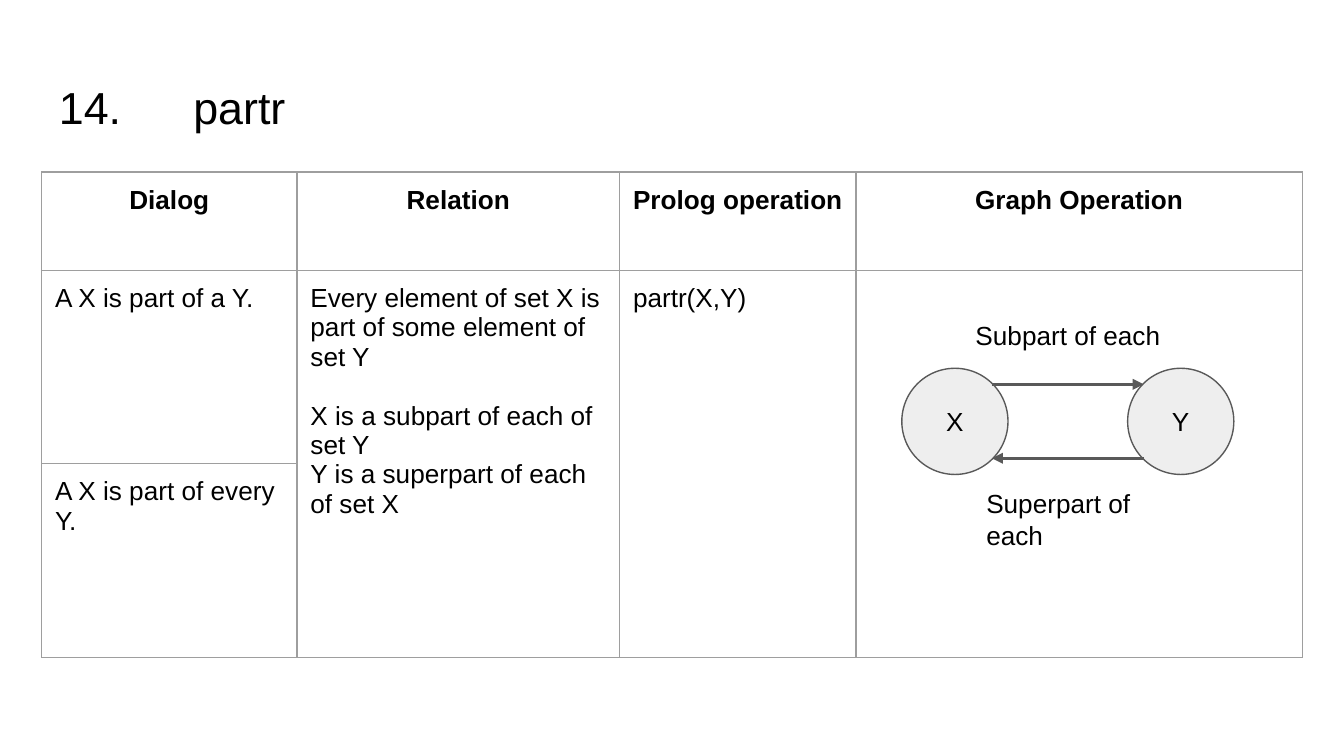
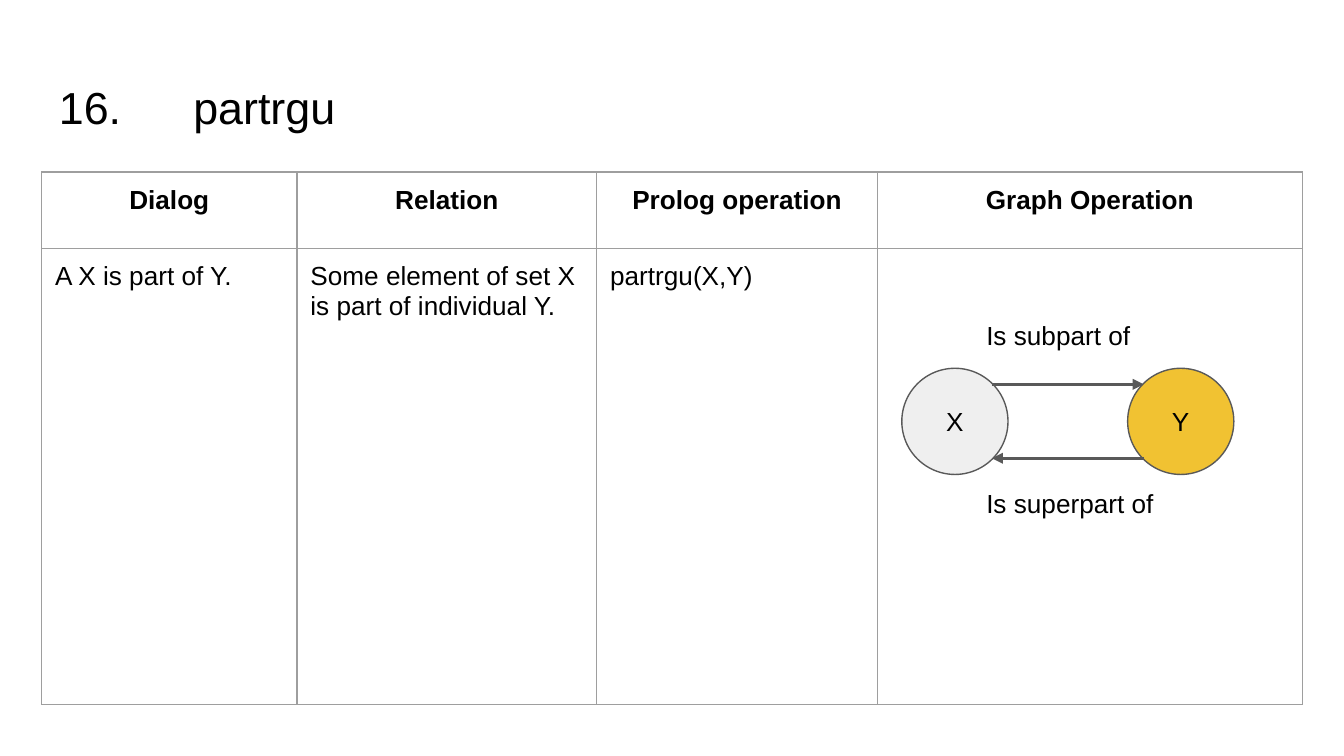
from lxml.etree import SubElement
from pptx import Presentation
from pptx.dml.color import RGBColor
from pptx.enum.shapes import MSO_CONNECTOR, MSO_SHAPE
from pptx.enum.text import MSO_ANCHOR, PP_ALIGN
from pptx.oxml import parse_xml
from pptx.oxml.ns import nsdecls, qn
from pptx.util import Inches, Pt

# Shared look
FONT = "Arial"
BLACK, GRAY, BORDER = "000000", "595959", "9E9E9E"
MARGIN = Inches(0.1)
HEADERS = ["Dialog", "Relation", "Prolog operation", "Graph Operation"]
NODE_SIZE, NODE_TOP = 0.79, 2.74
ARROWS = [(7.38, 8.51, 2.86), (8.51, 7.38, 3.41)]  # from x, to x, y

# Each body text: (row, column, list of (paragraph, space before))
SLIDES = [
    {
        "title": "14.\tpartr",
        "columns": [1.9, 2.4, 1.76, 3.32],
        "rows": [0.73, 1.44, 1.44],
        "merged_columns": [1, 2, 3],
        "body": [
            (1, 0, [("A X is part of a Y.", 0)]),
            (2, 0, [("A X is part of every Y.", 0)]),
            (1, 1, [("Every element of set X is part of some element of set Y", 0),
                    ("X is a subpart of each of set Y", 16),
                    ("Y is a superpart of each of set X", 0)]),
            (1, 2, [("partr(X,Y)", 0)]),
        ],
        "nodes": [("X", 6.71, "EEEEEE"), ("Y", 8.39, "EEEEEE")],
        "labels": [("Subpart of each", 7.16, 2.28, 0.37),
                   ("Superpart of each", 7.24, 3.53, 0.37)],
    },
    {
        "title": "16.\tpartrgu",
        "columns": [1.9, 2.23, 2.09, 3.16],
        "rows": [0.57, 1.13, 1.13, 1.13],
        "merged_columns": [0, 1, 2, 3],
        "body": [
            (1, 0, [("A X is part of Y.", 0)]),
            (1, 1, [("Some element of set X is part of individual Y.", 0)]),
            (1, 2, [("partrgu(X,Y)", 0)]),
        ],
        "nodes": [("X", 6.71, "EFEFEF"), ("Y", 8.39, "F1C232")],
        "labels": [("Is subpart of", 7.24, 2.28, 0.37),
                   ("Is superpart of", 7.24, 3.53, 0.63)],
    },
]


def color(hex_value):
    return RGBColor.from_string(hex_value)


def write(frame, paragraphs, size=14, bold=False, alignment=PP_ALIGN.LEFT):
    frame.word_wrap = True
    frame.margin_left = frame.margin_right = MARGIN
    frame.margin_top = frame.margin_bottom = MARGIN
    for index, (text, space_before) in enumerate(paragraphs):
        paragraph = frame.add_paragraph() if index else frame.paragraphs[0]
        paragraph.add_run().text = text
        paragraph.alignment = alignment
        if space_before:
            paragraph.space_before = Pt(space_before)
        if "\t" in text:
            tabs = SubElement(paragraph._p.get_or_add_pPr(), qn("a:tabLst"))
            SubElement(tabs, qn("a:tab"), pos=str(Inches(1)), algn="l")
        paragraph.font.name = FONT
        paragraph.font.size = Pt(size)
        paragraph.font.bold = bold
        paragraph.font.color.rgb = color(BLACK)


# 16:9 page
presentation = Presentation()
presentation.slide_width = Inches(10)
presentation.slide_height = Inches(10) * 9 // 16

for content in SLIDES:
    slide = presentation.slides.add_slide(presentation.slide_layouts[6])

    # Table grid
    columns, rows = content["columns"], content["rows"]
    table = slide.shapes.add_table(
        len(rows), len(columns), Inches(0.31), Inches(1.28),
        Inches(sum(columns)), Inches(sum(rows))).table
    table.first_row = table.horz_banding = False
    for column, width in zip(table.columns, columns):
        column.width = Inches(width)
    for row, height in zip(table.rows, rows):
        row.height = Inches(height)
    for cell in table.iter_cells():
        cell.margin_left = cell.margin_right = MARGIN
        cell.margin_top = cell.margin_bottom = MARGIN
        properties = cell._tc.get_or_add_tcPr()
        for side in ("lnL", "lnR", "lnT", "lnB"):
            properties.append(parse_xml(
                f'<a:{side} {nsdecls("a")} w="{Pt(0.75)}"><a:solidFill>'
                f'<a:srgbClr val="{BORDER}"/></a:solidFill></a:{side}>'))
        cell.fill.background()
    for column in content["merged_columns"]:
        table.cell(1, column).merge(table.cell(len(rows) - 1, column))

    # Table text
    for column, header in enumerate(HEADERS):
        write(table.cell(0, column).text_frame, [(header, 0)],
              bold=True, alignment=PP_ALIGN.CENTER)
    for row, column, paragraphs in content["body"]:
        write(table.cell(row, column).text_frame, paragraphs)

    # Graph nodes
    for name, left, fill in content["nodes"]:
        node = slide.shapes.add_shape(
            MSO_SHAPE.OVAL, Inches(left), Inches(NODE_TOP),
            Inches(NODE_SIZE), Inches(NODE_SIZE))
        node.shadow.inherit = False
        node.fill.solid()
        node.fill.fore_color.rgb = color(fill)
        node.line.color.rgb = color(GRAY)
        node.line.width = Pt(0.75)
        node.text_frame.vertical_anchor = MSO_ANCHOR.MIDDLE
        write(node.text_frame, [(name, 0)], alignment=PP_ALIGN.CENTER)

    # Graph arrows
    for start, end, y in ARROWS:
        arrow = slide.shapes.add_connector(
            MSO_CONNECTOR.STRAIGHT, Inches(start), Inches(y), Inches(end), Inches(y))
        arrow.line.color.rgb = color(GRAY)
        arrow.line.width = Pt(1.5)
        SubElement(arrow.line._get_or_add_ln(), qn("a:tailEnd"), type="triangle")
        SubElement(arrow._element.spPr, qn("a:effectLst"))

    # Arrow labels
    for text, left, top, height in content["labels"]:
        label = slide.shapes.add_textbox(
            Inches(left), Inches(top), Inches(1.63), Inches(height))
        write(label.text_frame, [(text, 0)])

    # Title
    title = slide.shapes.add_textbox(
        Inches(0.34), Inches(0.49), Inches(9.32), Inches(0.63))
    write(title.text_frame, [(content["title"], 0)], size=24)

presentation.save("out.pptx")
